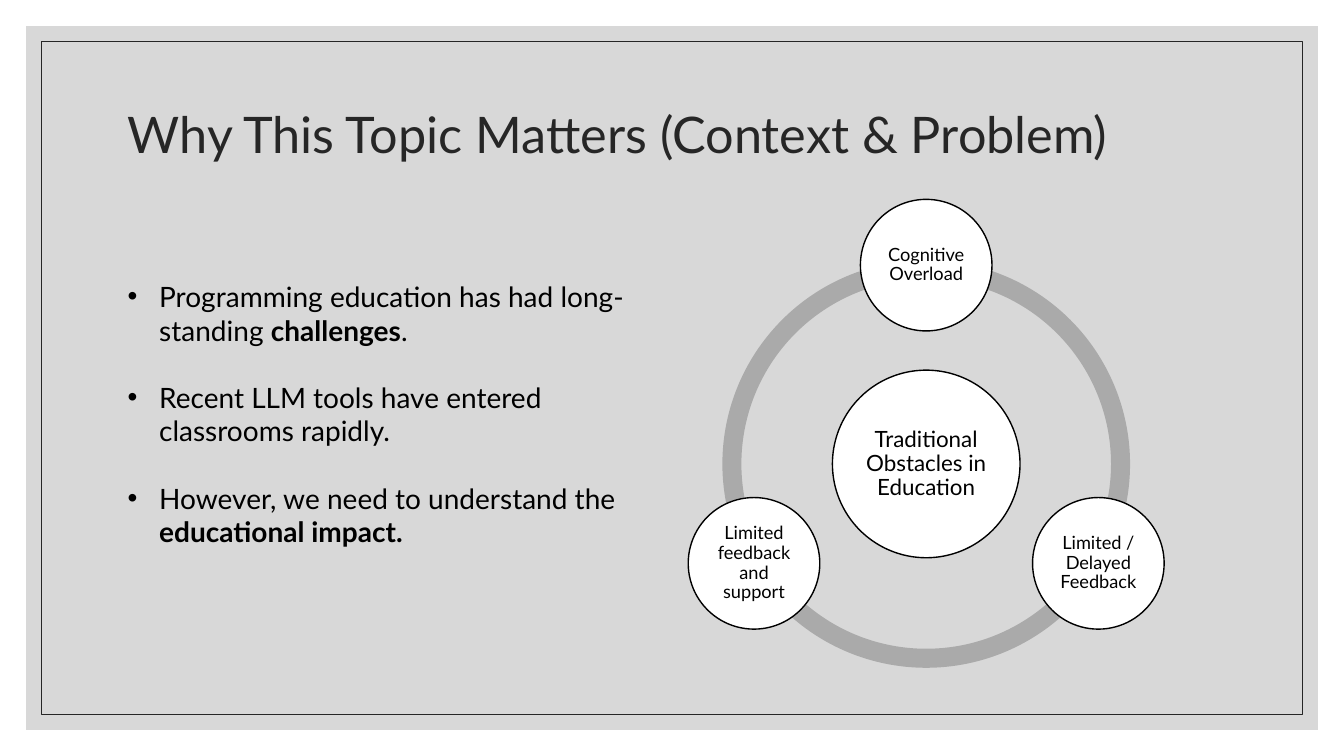
from math import cos, radians, sin

from lxml.etree import SubElement
from pptx import Presentation
from pptx.dml.color import RGBColor
from pptx.enum.shapes import MSO_SHAPE
from pptx.enum.text import MSO_ANCHOR, MSO_AUTO_SIZE, PP_ALIGN
from pptx.oxml.ns import qn
from pptx.util import Pt

TITLE = "Why This Topic Matters (Context & Problem)"
POINTS = [
    [("Programming education has had long-standing ", False), ("challenges", True), (".", False)],
    [("Recent LLM tools have entered classrooms rapidly.", False)],
    [("However, we need to understand the ", False), ("educational impact.", True)],
]
HUB = "Traditional Obstacles in Education"
NODES = ["Cognitive Overload", "Limited / Delayed Feedback", "Limited feedback and support"]

FONT = "Lato"
WIDE, HIGH = 960, 540
MID_X, MID_Y = 661.6, 331.4
ORBIT, RING, BAND = 142, 145.6, 13.6
HUB_SIZE, NODE_SIZE = 134, 94


def color(text):
    return RGBColor.from_string(text)


def place(shape, left, top, width, height):
    shape.left, shape.top = Pt(left), Pt(top)
    shape.width, shape.height = Pt(width), Pt(height)


def style(font, size, tint):
    font.name, font.size = FONT, Pt(size)
    font.color.rgb = color(tint)


def draw(kind, left, top, width, height, fill=None, line=None, weight=1):
    shape = slide.shapes.add_shape(kind, Pt(left), Pt(top), Pt(width), Pt(height))
    shape.shadow.inherit = False
    if fill:
        shape.fill.solid()
        shape.fill.fore_color.rgb = color(fill)
    else:
        shape.fill.background()
    if line:
        shape.line.color.rgb = color(line)
        shape.line.width = Pt(weight)
    else:
        shape.line.fill.background()
    return shape


def inset(gap, **look):
    return draw(MSO_SHAPE.RECTANGLE, gap, gap, WIDE - 2 * gap, HIGH - 2 * gap, **look)


def disc(text, x, y, size, points):
    shape = draw(MSO_SHAPE.OVAL, x - size / 2, y - size / 2, size, size, "FFFFFF", "000000")
    frame = shape.text_frame
    frame.word_wrap = True
    frame.vertical_anchor = MSO_ANCHOR.MIDDLE
    frame.margin_left = frame.margin_right = Pt(1.4)
    frame.margin_top = frame.margin_bottom = Pt(1.4)
    para = frame.paragraphs[0]
    para.text = text
    para.alignment = PP_ALIGN.CENTER
    para.line_spacing = 0.9
    style(para.font, points, "000000")


def bullet(para):
    props = para._p.get_or_add_pPr()
    props.set("marL", str(Pt(22.5)))
    props.set("indent", str(-Pt(22.5)))
    tint = SubElement(props, qn("a:buClr"))
    SubElement(tint, qn("a:srgbClr"), val="000000")
    SubElement(props, qn("a:buFont"), typeface="Arial")
    SubElement(props, qn("a:buChar"), char="•")


deck = Presentation()
deck.slide_width, deck.slide_height = Pt(WIDE), Pt(HIGH)
slide = deck.slides.add_slide(deck.slide_layouts[1])
title, body = slide.placeholders

panel = inset(18.7, fill="BFBFBF")
shade = panel._element.spPr.find(qn("a:solidFill"))[0]
SubElement(shade, qn("a:alpha"), val="60000")
border = inset(29.5, line="262626", weight=0.5)
tree = panel._element.getparent()
for spot, shape in enumerate([panel, border], 2):
    tree.insert(spot, shape._element)

place(title, 84, 44, 792, 108)
frame = title.text_frame
frame.text = TITLE
frame.auto_size = MSO_AUTO_SIZE.NONE
frame.vertical_anchor = MSO_ANCHOR.MIDDLE
para = frame.paragraphs[0]
para.alignment = PP_ALIGN.LEFT
para.line_spacing = 0.9
style(para.font, 36, "262626")

place(body, 84, 196, 372, 201)
frame = body.text_frame
frame.auto_size = MSO_AUTO_SIZE.NONE
frame.vertical_anchor = MSO_ANCHOR.TOP
for rank, point in enumerate(POINTS):
    para = frame.add_paragraph() if rank else frame.paragraphs[0]
    bullet(para)
    para.space_before = Pt(24 if rank else 0)
    style(para.font, 20, "000000")
    for text, bold in point:
        run = para.add_run()
        run.text = text
        run.font.bold = bold

step = 360 / len(NODES)
turns = [(270 + rank * step) % 360 for rank in range(len(NODES))]
for turn in turns:
    arc = draw(MSO_SHAPE.BLOCK_ARC, MID_X - RING, MID_Y - RING, 2 * RING, 2 * RING, "AAAAAA")
    arc.adjustments[0] = turn * 0.6
    arc.adjustments[1] = (turn + step) % 360 * 0.6
    arc.adjustments[2] = BAND / (2 * RING)

disc(HUB, MID_X, MID_Y, HUB_SIZE, 16)
for text, turn in zip(NODES, turns):
    angle = radians(turn)
    disc(text, MID_X + ORBIT * cos(angle), MID_Y + ORBIT * sin(angle), NODE_SIZE, 13)

deck.save("out.pptx")
